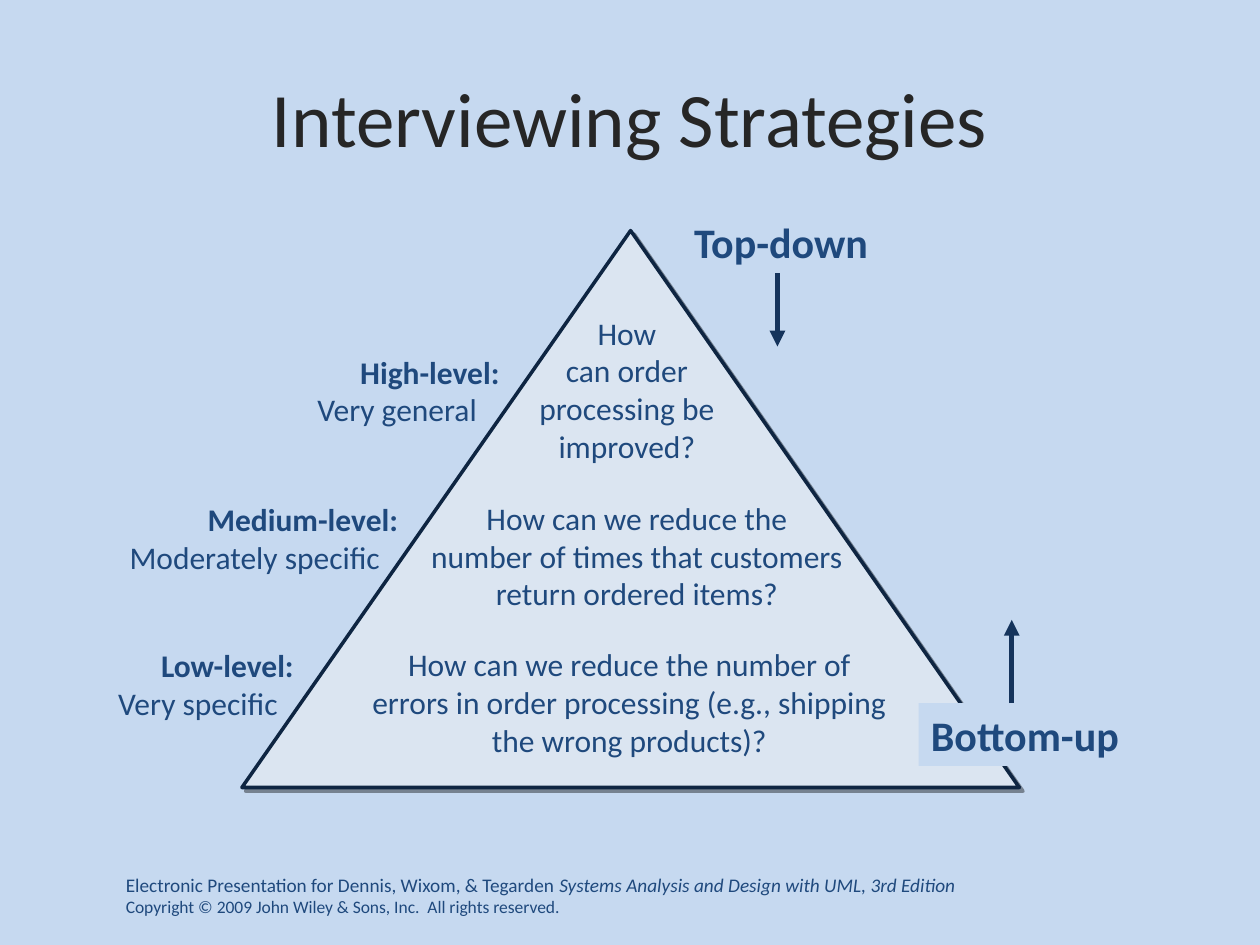
from lxml import etree
from pptx import Presentation
from pptx.dml.color import RGBColor
from pptx.enum import shapes, text
from pptx.oxml import ns
from pptx.util import Inches, Pt

FONT = "Calibri"
BACKGROUND = RGBColor(0xC6, 0xD9, 0xF0)
TITLE_COLOR = RGBColor(0x26, 0x26, 0x26)
TEXT_COLOR = RGBColor(0x1F, 0x49, 0x7D)
PYRAMID_FILL = RGBColor(0xDB, 0xE5, 0xF1)
PYRAMID_LINE = RGBColor(0x0E, 0x25, 0x42)
ARROW_COLOR = RGBColor(0x15, 0x34, 0x5C)

# Question lines in the pyramid, with their boxes
QUESTIONS = [
    ((4.18, 2.44, 1.59, 1.3),
     ["How", "can order", "processing be", "improved?"]),
    ((3.29, 3.91, 3.53, 1),
     ["How can we reduce the", "number of times that customers",
      "return ordered items?"]),
    ((2.85, 5.07, 4.29, 1),
     ["How can we reduce the number of",
      "errors in order processing (e.g., shipping",
      "the wrong products)?"]),
]
# Level labels: box, heading indent, heading, description
LEVELS = [
    ((2.42, 2.75, 1.65, 0.7), 0.34, "High-level:", "Very general"),
    ((0.93, 3.92, 2.34, 0.7), 0.62, "Medium-level:", "Moderately specific"),
    ((0.84, 5.08, 1.6, 0.7), 0.34, "Low-level:", "Very specific"),
]


def inches(values):
    return [Inches(value) for value in values]


def style(font, size, color=TEXT_COLOR, bold=False, italic=False):
    font.name = FONT
    font.size = Pt(size)
    font.color.rgb = color
    font.bold = bold
    font.italic = italic


def add_text(slide, box, lines, size, align=text.PP_ALIGN.LEFT, bold=False):
    """Add an unwrapped text box with one paragraph for each line."""
    shape = slide.shapes.add_textbox(*inches(box))
    frame = shape.text_frame
    frame.word_wrap = False
    frame.auto_size = text.MSO_AUTO_SIZE.SHAPE_TO_FIT_TEXT
    frame.text = "\n".join(lines)
    for paragraph in frame.paragraphs:
        paragraph.alignment = align
        for run in paragraph.runs:
            style(run.font, size, bold=bold)
    return shape


def add_title(slide, box):
    title = slide.shapes.title
    title.left, title.top, title.width, title.height = inches(box)
    frame = title.text_frame
    frame.text = "Interviewing Strategies"
    frame.vertical_anchor = text.MSO_ANCHOR.MIDDLE
    paragraph = frame.paragraphs[0]
    paragraph.alignment = text.PP_ALIGN.CENTER
    style(paragraph.runs[0].font, 44, TITLE_COLOR)


def add_pyramid(slide, box):
    triangle = slide.shapes.add_shape(
        shapes.MSO_SHAPE.ISOSCELES_TRIANGLE, *inches(box))
    triangle.fill.solid()
    triangle.fill.fore_color.rgb = PYRAMID_FILL
    triangle.line.color.rgb = PYRAMID_LINE
    triangle.line.width = Pt(2)

    # Hard shadow towards the lower right
    triangle.shadow.inherit = False
    effects = triangle.element.spPr.find(ns.qn("a:effectLst"))
    shadow = etree.SubElement(
        effects, ns.qn("a:outerShdw"), blurRad="0", dist=str(Pt(3)),
        dir="2700000", algn="ctr", rotWithShape="0")
    color = etree.SubElement(shadow, ns.qn("a:srgbClr"), val="000000")
    etree.SubElement(color, ns.qn("a:alpha"), val="40000")

    for question_box, lines in QUESTIONS:
        add_text(slide, question_box, lines, 18, text.PP_ALIGN.CENTER)


def add_level(slide, box, indent, heading, description):
    shape = add_text(slide, box, [heading, description], 18)
    paragraph = shape.text_frame.paragraphs[0]
    paragraph.runs[0].font.bold = True
    properties = paragraph._p.get_or_add_pPr()
    properties.set("marL", str(Inches(indent)))
    properties.set("indent", "0")


def add_direction(slide, box, label, arrow, filled=False):
    """Add a direction label and its arrow, given as x, start and end."""
    shape = add_text(slide, box, [label], 24, bold=True)
    if filled:
        shape.fill.solid()
        shape.fill.fore_color.rgb = BACKGROUND
    x, start, end = inches(arrow)
    connector = slide.shapes.add_connector(
        shapes.MSO_CONNECTOR.STRAIGHT, x, start, x, end)
    connector.line.color.rgb = ARROW_COLOR
    connector.line.width = Pt(3)
    properties = connector.element.spPr
    etree.SubElement(properties.find(ns.qn("a:ln")), ns.qn("a:tailEnd"),
                     type="triangle")
    etree.SubElement(properties, ns.qn("a:effectLst"))


def add_footer(slide, box):
    shape = add_text(slide, box, [
        "Electronic Presentation for Dennis, Wixom, & Tegarden ",
        "Copyright © 2009 John Wiley & Sons, Inc.  All rights reserved.",
    ], 11)
    credit, rights = shape.text_frame.paragraphs
    book = credit.add_run()
    book.text = "Systems Analysis and Design with UML, 3rd Edition"
    style(book.font, 11, italic=True)
    rights.runs[0].font.size = Pt(10)


def main():
    presentation = Presentation()
    presentation.slide_width, presentation.slide_height = inches((10, 7.5))
    slide = presentation.slides.add_slide(presentation.slide_layouts[5])
    slide.background.fill.solid()
    slide.background.fill.fore_color.rgb = BACKGROUND

    add_footer(slide, (0.9, 6.88, 6.94, 0.45))
    add_title(slide, (0.5, 0.3, 9, 1.25))
    add_pyramid(slide, (1.92, 1.83, 6.17, 4.42))
    add_direction(slide, (5.41, 1.67, 1.61, 0.5), "Top-down",
                  (6.17, 2.17, 2.75))
    add_direction(slide, (7.29, 5.58, 1.69, 0.5), "Bottom-up",
                  (8.03, 5.58, 4.92), filled=True)
    for level in LEVELS:
        add_level(slide, *level)
    presentation.save("out.pptx")


if __name__ == "__main__":
    main()
